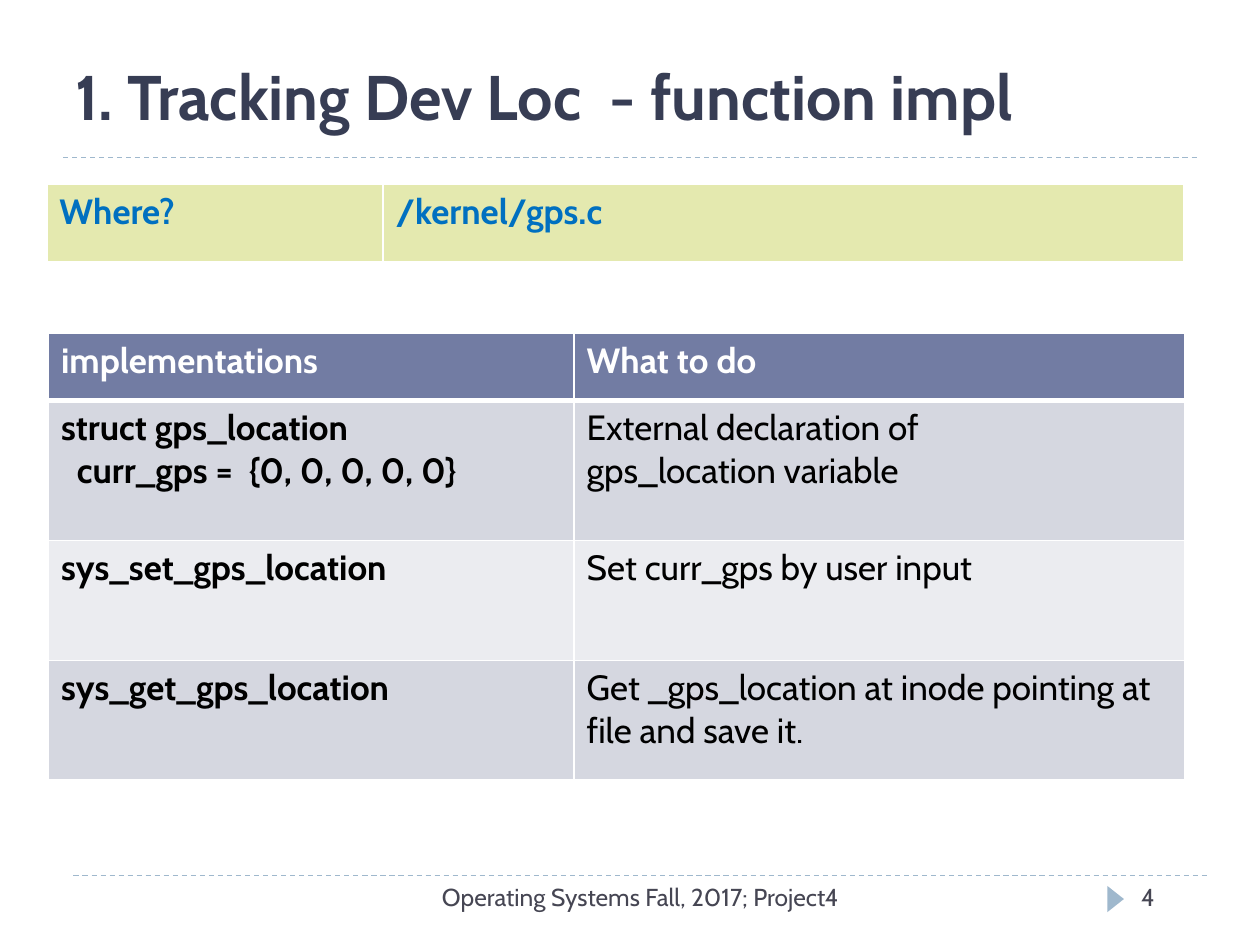
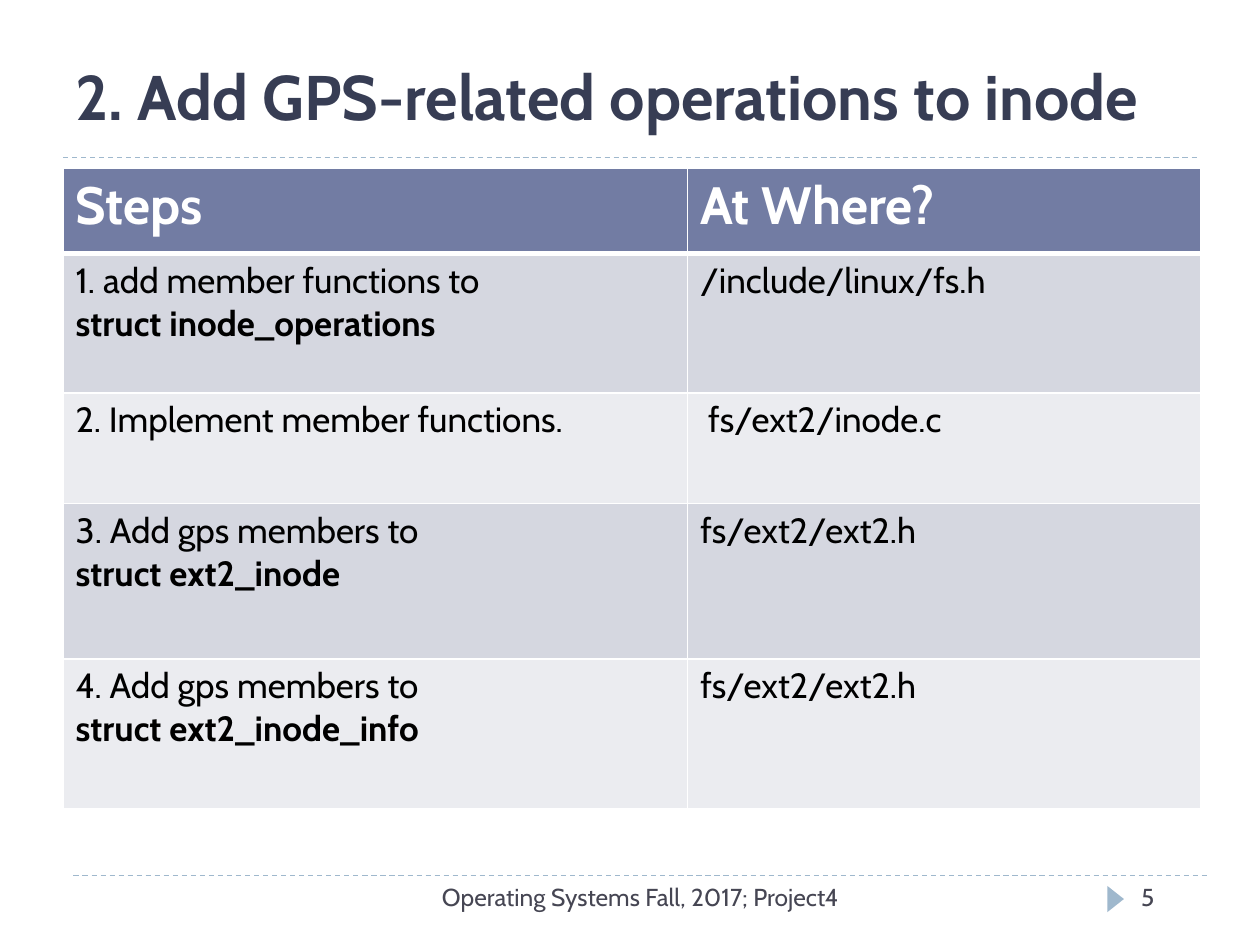
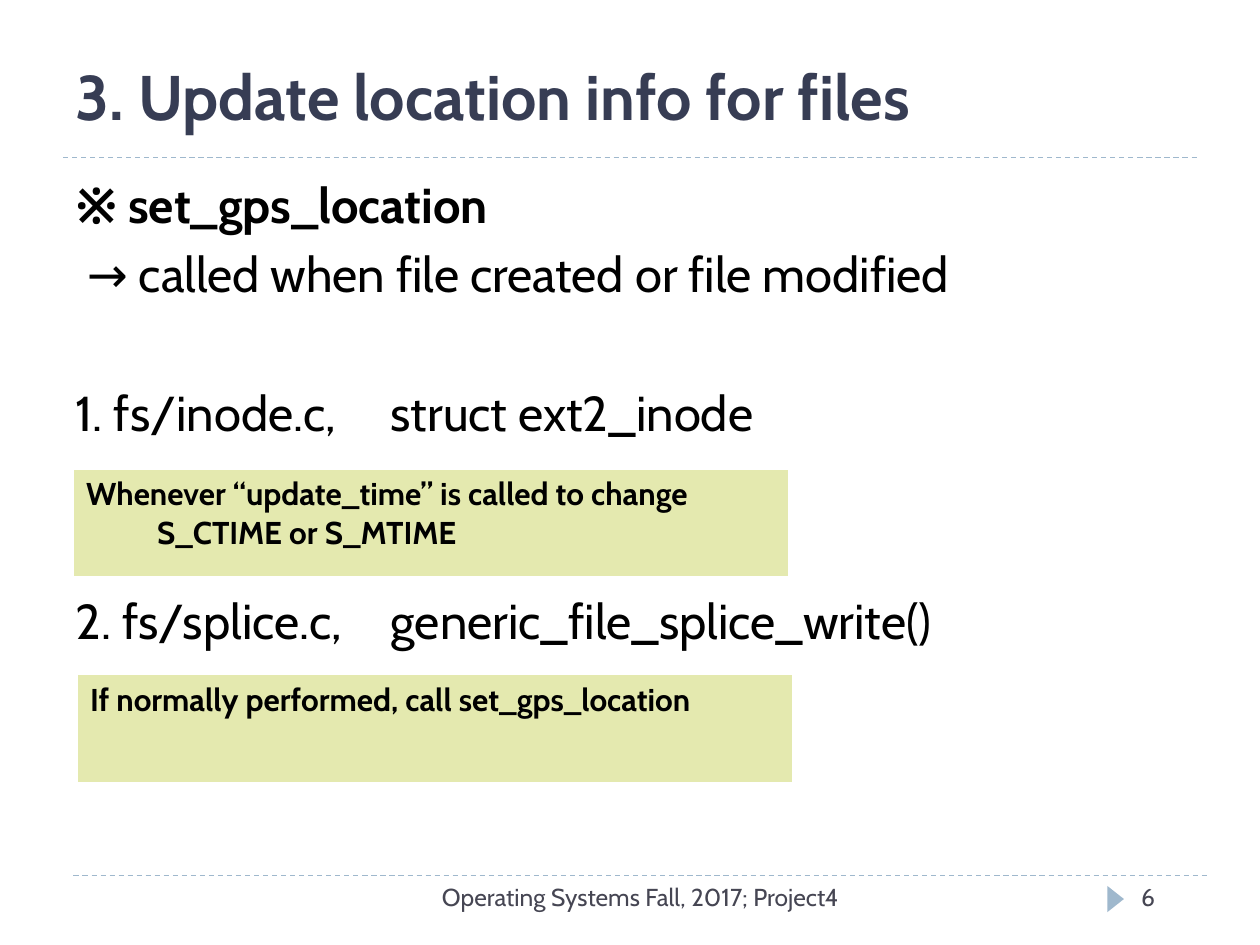
from lxml import etree
from pptx import Presentation
from pptx.dml.color import RGBColor
from pptx.enum import dml, shapes, text
from pptx.oxml import ns
from pptx.util import Pt

FONT = "Cabin"
FOOTER = "Operating Systems Fall, 2017; Project4"
COLORS = {
    "title": "373D54",
    "footer": "464653",
    "accent": "9FB8CD",
    "header": "727CA3",
    "band_dark": "D5D7E0",
    "band_light": "EBECF0",
    "note": "E4E9AF",
    "path": "0070C0",
    "black": "000000",
    "white": "FFFFFF",
}


def color(name):
    return RGBColor.from_string(COLORS[name])


def add_element(parent, tag, **attributes):
    return etree.SubElement(parent, ns.qn(tag), attributes)


def write_line(para, content, size=20, ink="black", bold=False, align=None,
               indent=0, before=0, tab=None):
    """Fill one paragraph; indent, before and tab are in points."""
    span = para.add_run()
    span.text = content
    span.font.name = FONT
    span.font.size = Pt(size)
    span.font.bold = bold
    span.font.color.rgb = color(ink)
    para.alignment = align
    para.space_before = Pt(before)
    properties = para._p.get_or_add_pPr()
    properties.set("marL", str(Pt(indent)))
    properties.set("indent", "0")
    add_element(properties, "a:buNone")
    if tab:
        stops = add_element(properties, "a:tabLst")
        add_element(stops, "a:tab", pos=str(Pt(tab)), algn="l")


def write(frame, lines, **style):
    """Write a string, or a list of strings and (string, own format) pairs."""
    if isinstance(lines, str):
        lines = [lines]
    for index, line in enumerate(lines):
        content, own = (line, {}) if isinstance(line, str) else line
        para = frame.add_paragraph() if index else frame.paragraphs[0]
        write_line(para, content, **{**style, **own})


def add_text(page, content, left, top, width, height, **style):
    box = page.shapes.add_textbox(Pt(left), Pt(top), Pt(width), Pt(height))
    box.text_frame.word_wrap = True
    write(box.text_frame, content, **style)


def fill_placeholder(box, lines, left, top, width, height, anchor, **style):
    box.left, box.top, box.width, box.height = map(Pt, (left, top, width, height))
    box.text_frame.auto_size = text.MSO_AUTO_SIZE.NONE
    box.text_frame.vertical_anchor = anchor
    write(box.text_frame, lines, **style)


def add_rule(page, left, top, width):
    rule = page.shapes.add_connector(
        shapes.MSO_CONNECTOR.STRAIGHT, Pt(left), Pt(top), Pt(left + width), Pt(top))
    rule.line.color.rgb = color("accent")
    rule.line.width = Pt(0.75)
    rule.line.dash_style = dml.MSO_LINE.DASH
    add_element(rule._element.spPr, "a:effectLst")


def add_marker(page):
    marker = page.shapes.add_shape(
        shapes.MSO_SHAPE.ISOSCELES_TRIANGLE, Pt(630), Pt(509), Pt(15), Pt(9.5))
    marker.rotation = 90
    marker.shadow.inherit = False
    marker.fill.solid()
    marker.fill.fore_color.rgb = color("accent")
    marker.line.fill.background()


def add_page(deck, layout, title, number):
    page = deck.slides.add_slide(deck.slide_layouts.get_by_name(layout))
    add_rule(page, 42, 500.4, 648)
    add_rule(page, 36, 90, 648)
    add_marker(page)
    add_text(page, FOOTER, 228, 500.4, 276, 28.8, size=14, ink="footer",
             align=text.PP_ALIGN.CENTER)
    fill_placeholder(page.shapes.title, title, 36, 28.8, 648, 51,
                     text.MSO_ANCHOR.BOTTOM, size=36, ink="title", bold=True,
                     align=text.PP_ALIGN.LEFT)
    add_text(page, str(number), 645, 500.4, 54, 28.8, size=14, ink="footer")
    return page


def set_borders(cell, row):
    """White borders, with a thick one under the first row."""
    widths = {"L": 1, "R": 1, "T": 3 if row == 1 else 1, "B": 1 if row else 3}
    properties = cell._tc.get_or_add_tcPr()
    for side, width in widths.items():
        border = add_element(properties, f"a:ln{side}", w=str(Pt(width)))
        fill = add_element(border, "a:solidFill")
        add_element(fill, "a:srgbClr", val=COLORS["white"])


def add_table(page, left, top, widths, heights, rows, fills, styles):
    """fills holds one colour a row; styles gives each cell's format by row, column."""
    table = page.shapes.add_table(
        len(rows), len(widths), Pt(left), Pt(top), Pt(sum(widths)), Pt(sum(heights))).table
    for column, width in zip(table.columns, widths):
        column.width = Pt(width)
    for r, (row, height) in enumerate(zip(rows, heights)):
        table.rows[r].height = Pt(height)
        for c, content in enumerate(row):
            cell = table.cell(r, c)
            set_borders(cell, r)
            cell.fill.solid()
            cell.fill.fore_color.rgb = color(fills[r])
            write(cell.text_frame, content, **styles(r, c))


def add_banded_table(page, left, top, widths, heights, rows, header_size=20,
                     bold_first=False):
    fills = ["header"] + [("band_light", "band_dark")[r % 2] for r in range(1, len(rows))]

    def styles(r, c):
        if r == 0:
            return {"size": header_size, "ink": "white", "bold": True}
        return {"bold": bold_first and c == 0}

    add_table(page, left, top, widths, heights, rows, fills, styles)


def add_note(page, left, top, widths, height, cells, **style):
    add_table(page, left, top, widths, [height], [cells], ["note"],
              lambda r, c: {"bold": True, **style})


def add_functions_page(deck):
    page = add_page(deck, "Title Only", "1. Tracking Dev Loc  - function impl", 4)
    add_note(page, 26.8, 105.3, [192.2, 457.2], 45, ["Where?", "/kernel/gps.c"], ink="path")
    add_banded_table(page, 27.7, 190.4, [300.4, 349.2], [38.6, 80, 68.4, 68.4], [
        ["implementations", "What to do"],
        [["struct gps_location", ("curr_gps =  {0, 0, 0, 0, 0}", {"indent": 9})],
         ["External declaration of", "gps_location variable"]],
        ["sys_set_gps_location", "Set curr_gps by user input"],
        ["sys_get_gps_location", "Get _gps_location at inode pointing at file and save it."],
    ], bold_first=True)


def add_inode_page(deck):
    page = add_page(deck, "Title Only", "2. Add GPS-related operations to inode", 5)
    strong = {"bold": True}
    add_banded_table(page, 36, 96, [357, 293], [49, 79.5, 63.4, 88.6, 85.7], [
        ["Steps", "At Where?"],
        [["1. add member functions to", ("struct inode_operations", strong)],
         "/include/linux/fs.h"],
        ["2. Implement member functions.", [("fs/ext2/inode.c", {"indent": 4.5})]],
        [["3. Add gps members to", ("struct ext2_inode", strong)], "fs/ext2/ext2.h"],
        [["4. Add gps members to", ("struct ext2_inode_info", strong)], "fs/ext2/ext2.h"],
    ], header_size=30)


def add_update_page(deck):
    page = add_page(deck, "Title and Content", "3. Update location info for files", 6)
    fill_placeholder(page.placeholders[1], [
        ("※ set_gps_location", {"bold": True}),
        ("→ called when file created or file modified", {"indent": 6.5}),
        ("1. fs/inode.c,\tstruct ext2_inode", {"before": 45.7, "tab": 212}),
        ("2. fs/splice.c,\tgeneric_file_splice_write()", {"before": 85.4, "tab": 216}),
    ], 36, 96, 648, 401, text.MSO_ANCHOR.TOP, size=28, before=6)
    add_note(page, 42, 268, [408.6], 62.4, [[
        "Whenever “update_time” is called to change",
        ("S_CTIME or S_MTIME", {"indent": 40.5}),
    ]], size=18)
    add_note(page, 44.3, 385.5, [408.6], 62.4,
             ["If normally performed, call set_gps_location"], size=18)


def main():
    deck = Presentation()
    deck.slide_width, deck.slide_height = Pt(720), Pt(540)
    add_functions_page(deck)
    add_inode_page(deck)
    add_update_page(deck)
    deck.save("out.pptx")


if __name__ == "__main__":
    main()
